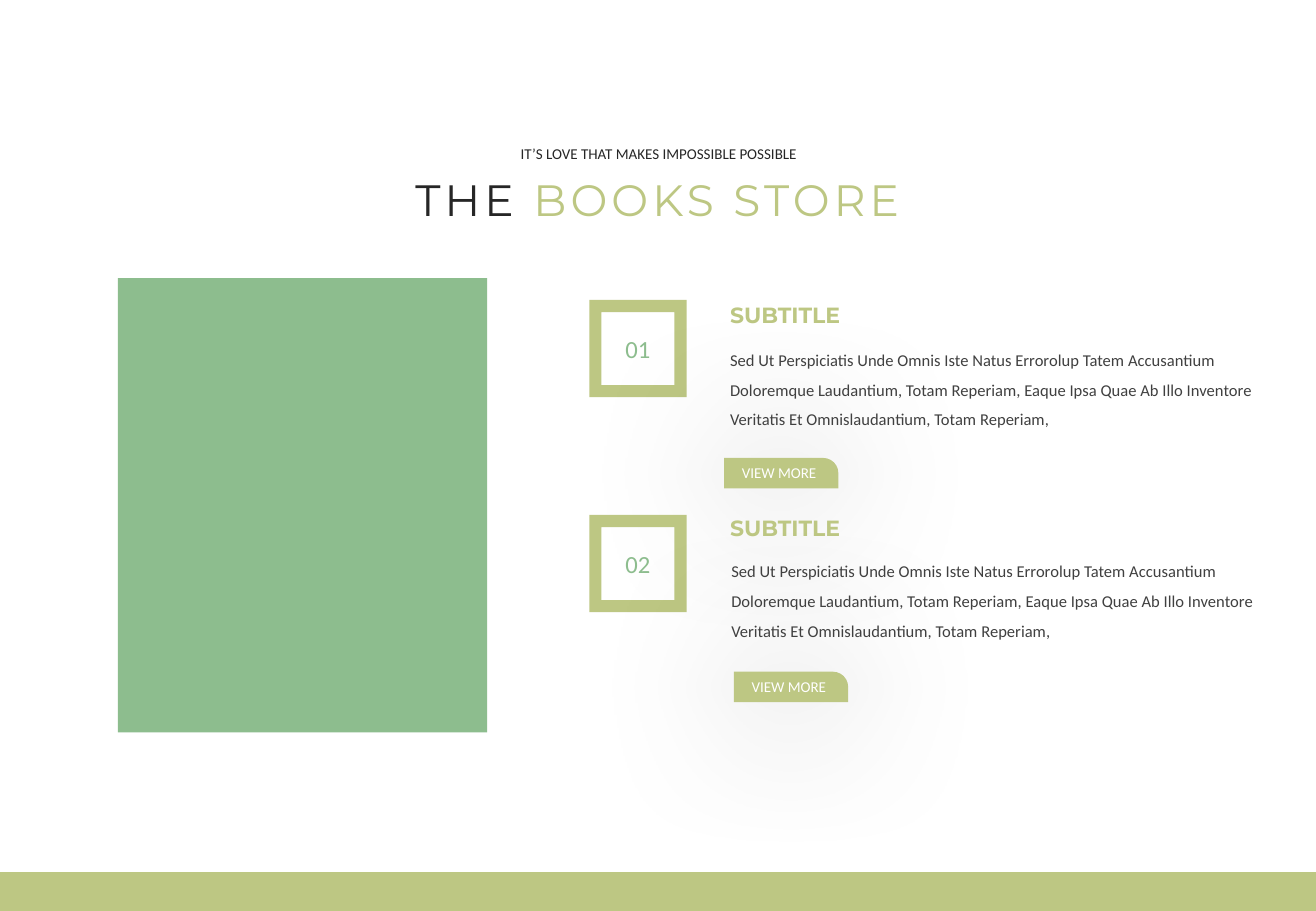
"""Build the books store slide with two numbered sections."""
from lxml import etree
from pptx import Presentation
from pptx.dml.color import RGBColor
from pptx.enum import shapes, text
from pptx.oxml import ns
from pptx.util import Inches, Pt

OLIVE = RGBColor(0xBD, 0xC7, 0x83)
GREEN = RGBColor(0x8D, 0xBD, 0x8E)
DARK = RGBColor(0x26, 0x26, 0x26)
GRAY = RGBColor(0x40, 0x40, 0x40)
WHITE = RGBColor(0xFF, 0xFF, 0xFF)
SHAPE = shapes.MSO_SHAPE
CENTER, LEFT = text.PP_ALIGN.CENTER, text.PP_ALIGN.LEFT
BODY = ("Sed Ut Perspiciatis Unde Omnis Iste Natus Errorolup Tatem Accusantium "
        "Doloremque Laudantium, Totam Reperiam, Eaque Ipsa Quae Ab Illo Inventore "
        "Veritatis Et Omnislaudantium, Totam Reperiam,")

presentation = Presentation()
presentation.slide_width = Inches(10.83)
presentation.slide_height = Inches(7.5)
slide = presentation.slides.add_slide(presentation.slide_layouts[6])


def add_block(kind, color, *box):
    shape = slide.shapes.add_shape(kind, *map(Inches, box))
    shape.shadow.inherit = False
    shape.fill.solid()
    shape.fill.fore_color.rgb = color
    shape.line.fill.background()
    return shape


def write(shape, runs, size, font="Calibri", align=LEFT, wrap=True, anchor=text.MSO_ANCHOR.TOP):
    frame = shape.text_frame
    frame.word_wrap = wrap
    frame.vertical_anchor = anchor
    paragraph = frame.paragraphs[0]
    paragraph.alignment = align
    for words, color in runs:
        run = paragraph.add_run()
        run.text = words
        run.font.name = font
        run.font.size = Pt(size)
        run.font.color.rgb = color
    return paragraph


add_block(SHAPE.RECTANGLE, GREEN, 0.97, 2.29, 3.04, 3.74)
add_block(SHAPE.RECTANGLE, OLIVE, 0, 7.18, 10.83, 0.32)

title = slide.shapes.add_textbox(Inches(3.15), Inches(1.37), Inches(4.52), Inches(0.54))
heading = write(title, [("THE ", DARK), ("BOOKS STORE", OLIVE)], 26, "Montserrat", CENTER)
for run in heading.runs:
    run.font._element.set("spc", "240")

tagline = slide.shapes.add_textbox(Inches(4.16), Inches(1.14), Inches(2.52), Inches(0.25))
write(tagline, [("IT’S LOVE THAT MAKES IMPOSSIBLE POSSIBLE", DARK)], 8.9, align=CENTER, wrap=False)

sections = [
    ("01", 2.47, 2.43, (5.96, 3.77), (5.91, 2.75)),
    ("02", 4.24, 4.19, (6.04, 5.53), (5.92, 4.49)),
]
for number, frame_top, subtitle_top, button_at, body_at in sections:
    number_frame = add_block(SHAPE.FRAME, OLIVE, 4.85, frame_top, 0.8, 0.8)
    write(number_frame, [(number, GREEN)], 14.6, align=CENTER, anchor=text.MSO_ANCHOR.MIDDLE)

    subtitle = slide.shapes.add_textbox(Inches(5.91), Inches(subtitle_top), Inches(2.32), Inches(0.32))
    write(subtitle, [("SUBTITLE", OLIVE)], 13, "Montserrat").runs[0].font.bold = True

    button = add_block(SHAPE.ROUND_1_RECTANGLE, OLIVE, *button_at, 0.94, 0.25)
    button.adjustments[0] = 0.5
    write(button, [("VIEW MORE", WHITE)], 8.9, align=CENTER)
    effects = button._element.spPr.find(ns.qn("a:effectLst"))
    shadow = etree.SubElement(effects, ns.qn("a:outerShdw"), blurRad=str(Pt(95)),
                              dist="0", dir="0", algn="ctr", rotWithShape="0")
    shadow_color = etree.SubElement(shadow, ns.qn("a:srgbClr"), val="000000")
    etree.SubElement(shadow_color, ns.qn("a:alpha"), val="40000")

    body = slide.shapes.add_textbox(*map(Inches, body_at), Inches(4.53), Inches(0.81))
    write(body, [(BODY, GRAY)], 9.8).line_spacing = 1.5

presentation.save("out.pptx")
